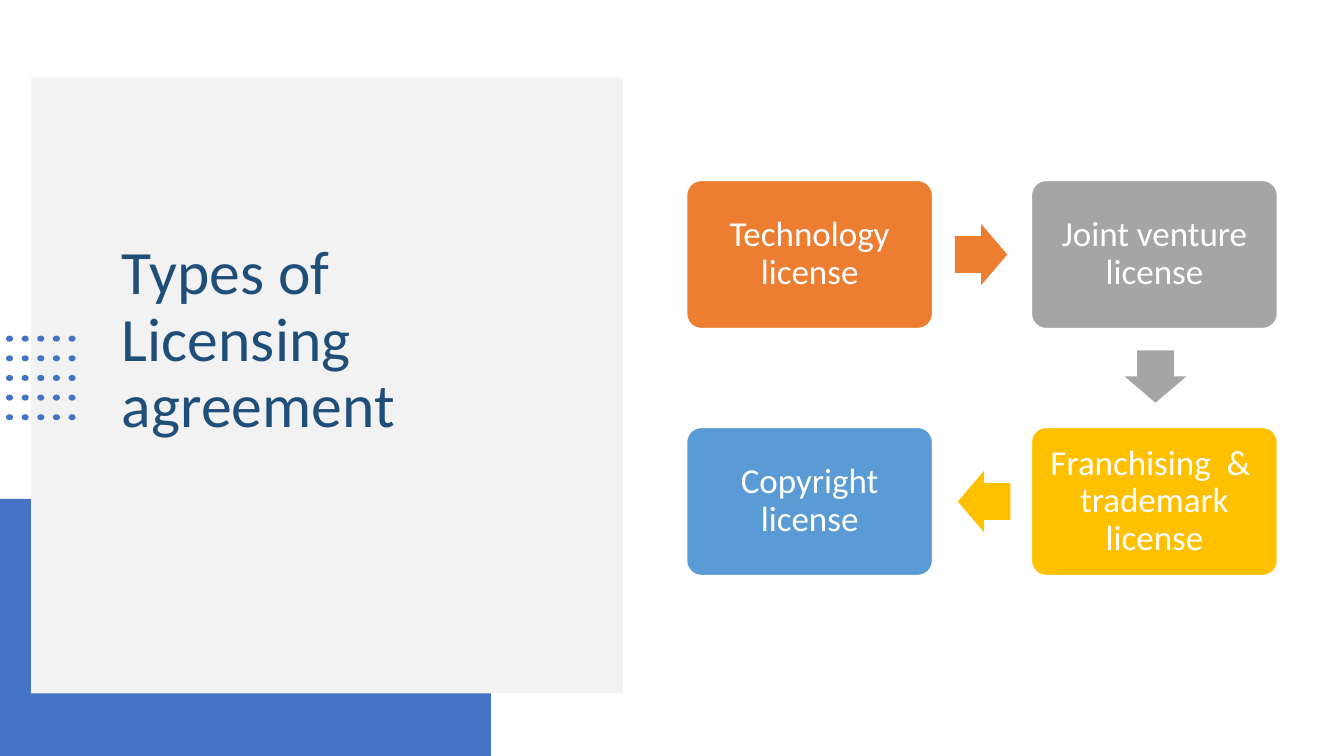
import pptx
import pptx.util
import pptx.dml.color
import pptx.enum.shapes
import pptx.enum.text

Inches = pptx.util.Inches
Pt = pptx.util.Pt
RGBColor = pptx.dml.color.RGBColor
Preset = pptx.enum.shapes.MSO_SHAPE
Align = pptx.enum.text.PP_ALIGN
Anchor = pptx.enum.text.MSO_ANCHOR

BLUE = RGBColor(0x44, 0x72, 0xC4)
PANEL = RGBColor(0xF2, 0xF2, 0xF2)
NAVY = RGBColor(0x1F, 0x4E, 0x79)
WHITE = RGBColor(0xFF, 0xFF, 0xFF)
ORANGE = RGBColor(0xED, 0x7D, 0x31)
GRAY = RGBColor(0xA5, 0xA5, 0xA5)
GOLD = RGBColor(0xFF, 0xC0, 0x00)
SKY = RGBColor(0x5B, 0x9B, 0xD5)


def add_filled(shapes, preset, left, top, width, height, color):
    shape = shapes.add_shape(preset, Inches(left), Inches(top), Inches(width), Inches(height))
    shape.shadow.inherit = False
    shape.fill.solid()
    shape.fill.fore_color.rgb = color
    shape.line.fill.background()
    return shape


def format_text(frame, size, color, alignment):
    frame.word_wrap = True
    frame.auto_size = pptx.enum.text.MSO_AUTO_SIZE.NONE
    frame.vertical_anchor = Anchor.MIDDLE
    para = frame.paragraphs[0]
    para.alignment = alignment
    para.line_spacing = 0.9
    for span in para.runs:
        span.font.name = "Calibri"
        span.font.size = Pt(size)
        span.font.color.rgb = color


deck = pptx.Presentation()
deck.slide_width = Inches(13.33)
deck.slide_height = Inches(7.5)
page = deck.slides.add_slide(deck.slide_layouts[5])

add_filled(page.shapes, Preset.RECTANGLE, 0, 4.95, 4.87, 2.55, BLUE)
add_filled(page.shapes, Preset.RECTANGLE, 0.31, 0.77, 5.87, 6.11, PANEL)

title = page.shapes.title
title.left, title.top = Inches(1.11), Inches(1.47)
title.width, title.height = Inches(4.59), Inches(4.56)
title.text_frame.text = "Types of Licensing agreement \v"
format_text(title.text_frame, 44, NAVY, Align.LEFT)
page.shapes._spTree.append(title._element)

dots = page.shapes.add_group_shape()
for column in range(5):
    for row in range(5):
        add_filled(dots.shapes, Preset.OVAL, 0.06 + 0.155 * column, 3.33 + 0.195 * row, 0.07, 0.06, BLUE)

licenses = [
    ("Technology license", 6.81, 1.79, ORANGE),
    ("Joint venture license", 10.23, 1.79, GRAY),
    ("Franchising  &  trademark license", 10.23, 4.24, GOLD),
    ("Copyright license", 6.81, 4.24, SKY),
]
arrows = [(9.47, 2.22, 0, ORANGE), (11.2, 3.43, 90, GRAY), (9.5, 4.67, 180, GOLD)]

flow = page.shapes.add_group_shape()
for label, left, top, color in licenses:
    box = add_filled(flow.shapes, Preset.ROUNDED_RECTANGLE, left, top, 2.44, 1.47, color)
    box.adjustments[0] = 0.1
    box.line.color.rgb = WHITE
    box.line.width = Pt(1)
    frame = box.text_frame
    frame.margin_left = frame.margin_right = Inches(0.1)
    frame.margin_top = frame.margin_bottom = Inches(0.1)
    frame.text = label
    format_text(frame, 25, WHITE, Align.CENTER)

for left, top, rotation, color in arrows:
    arrow = add_filled(flow.shapes, Preset.RIGHT_ARROW, left, top, 0.52, 0.61, color)
    arrow.adjustments[0] = 0.6
    arrow.adjustments[1] = 0.5
    arrow.rotation = rotation

deck.save("out.pptx")
